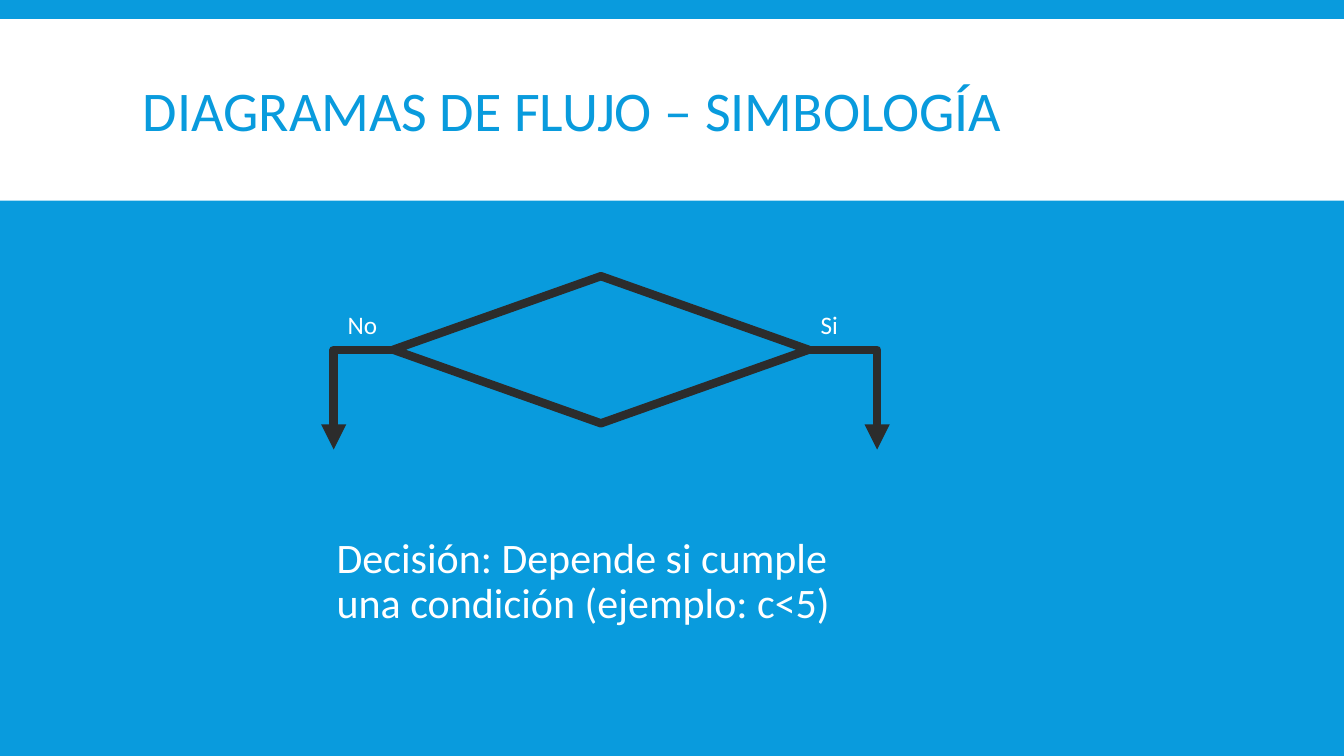
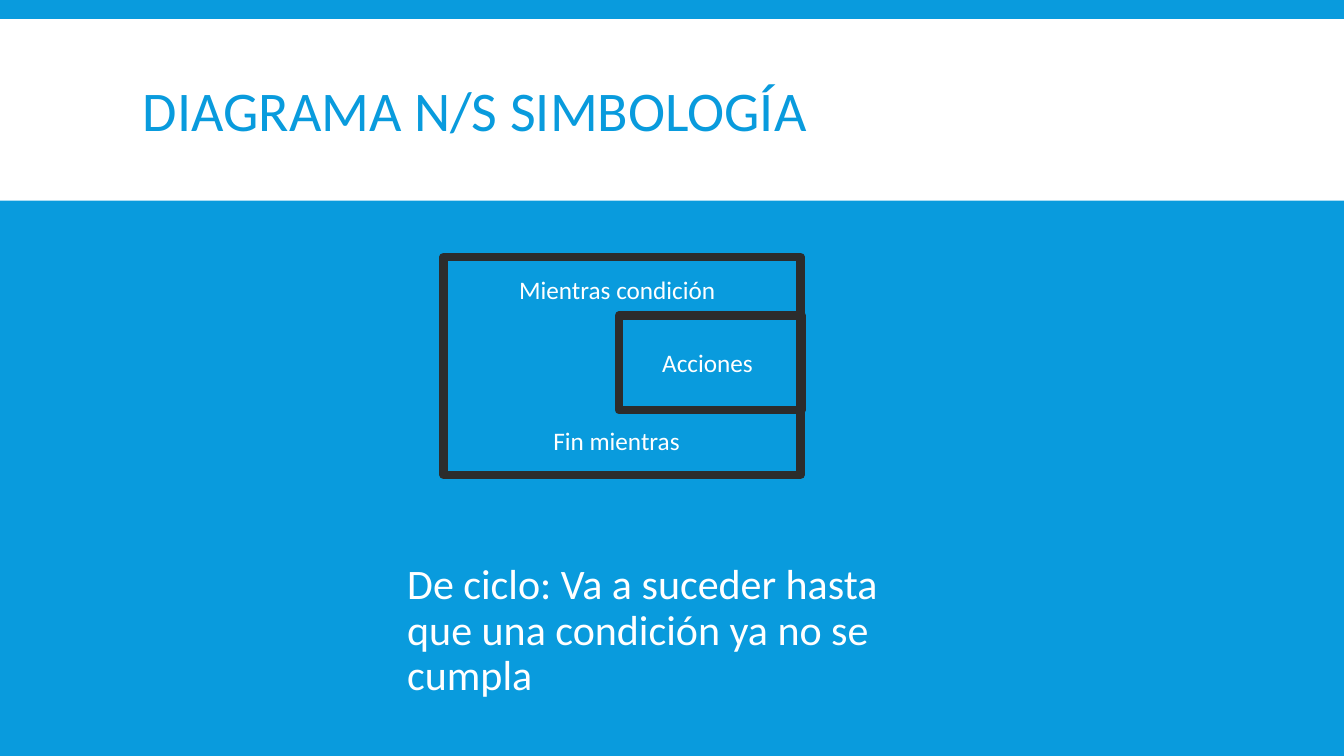
"""Build two slides on flowchart and N/S diagram symbols."""
from lxml.etree import SubElement
from pptx import Presentation
from pptx.dml.color import RGBColor
from pptx.enum.shapes import MSO_CONNECTOR, MSO_SHAPE
from pptx.enum.text import MSO_ANCHOR
from pptx.oxml.ns import qn
from pptx.util import Inches, Pt

BLUE = RGBColor(0x09, 0x9B, 0xDD)
WHITE = RGBColor(0xFF, 0xFF, 0xFF)
DARK = RGBColor(0x2C, 0x2C, 0x2C)
WIDTH, HEIGHT = 13.33, 7.5
BAND = (0, 0.19, WIDTH, 1.8)
TITLE_AREA = (1.32, 0.31, 10.7, 1.65)
LABEL_HEIGHT = 0.4
OUTLINE = Pt(6)

TITLE = {"size": Pt(40), "name": "Calibri"}
BODY = {"size": Pt(30), "name": "Calibri"}
LABEL = {"size": Pt(18), "name": "Calibri"}

SLIDES = [
    {
        "title": "DIAGRAMAS DE FLUJO – SIMBOLOGÍA",
        "body": ("Decisión: Depende si cumple una condición (ejemplo: c<5)",
                 (3.24, 5.28, 5.46, 1.46)),
        "symbols": [(MSO_SHAPE.FLOWCHART_DECISION, (3.9, 2.74, 4.12, 1.46))],
        "branches": [((8.03, 3.47), (8.7, 4.46)), ((3.9, 3.47), (3.31, 4.46))],
        "labels": [("No", 3.35, 3.02, 0.51), ("Si", 8.04, 3.02, 0.4)],
    },
    {
        "title": "DIAGRAMA N/S SIMBOLOGÍA",
        "body": ("De ciclo: Va a suceder hasta que una condición ya no se cumpla",
                 (3.94, 5.54, 5.45, 1.33)),
        "symbols": [(MSO_SHAPE.FLOWCHART_PROCESS, (4.4, 2.55, 3.54, 2.16)),
                    (MSO_SHAPE.RECTANGLE, (6.14, 3.13, 1.81, 0.94))],
        "branches": [],
        "labels": [("Mientras condición", 5.05, 2.67, 2.18),
                   ("Acciones", 6.47, 3.4, 1.13),
                   ("Fin mientras", 5.39, 4.17, 1.5)],
    },
]


def inches(lengths):
    return [Inches(length) for length in lengths]


def add_text(slide, text, area, style, color, spacing=1.0,
             anchor=MSO_ANCHOR.TOP, wrap=True):
    frame = slide.shapes.add_textbox(*inches(area)).text_frame
    frame.word_wrap = wrap
    frame.vertical_anchor = anchor
    paragraph = frame.paragraphs[0]
    paragraph.text = text
    paragraph.line_spacing = spacing
    for attribute, value in style.items():
        setattr(paragraph.font, attribute, value)
    paragraph.font.color.rgb = color


def add_band(slide):
    band = slide.shapes.add_shape(MSO_SHAPE.RECTANGLE, *inches(BAND))
    band.shadow.inherit = False
    band.fill.solid()
    band.fill.fore_color.rgb = WHITE
    band.line.fill.background()


def draw_outline(line):
    line.color.rgb = DARK
    line.width = OUTLINE


def add_symbol(slide, kind, area):
    symbol = slide.shapes.add_shape(kind, *inches(area))
    symbol.shadow.inherit = False
    symbol.fill.background()
    draw_outline(symbol.line)


def add_branch(slide, start, end):
    branch = slide.shapes.add_connector(MSO_CONNECTOR.ELBOW, *inches(start + end))
    draw_outline(branch.line)
    properties = branch._element.spPr
    properties.find(qn("a:prstGeom")).set("prst", "bentConnector2")
    SubElement(properties.find(qn("a:ln")), qn("a:tailEnd"), type="triangle")
    SubElement(properties, qn("a:effectLst"))


def build_slide(deck, content):
    slide = deck.slides.add_slide(deck.slide_layouts[6])
    slide.background.fill.solid()
    slide.background.fill.fore_color.rgb = BLUE
    add_band(slide)
    add_text(slide, content["title"], TITLE_AREA, TITLE, BLUE,
             spacing=0.85, anchor=MSO_ANCHOR.MIDDLE)
    add_text(slide, *content["body"], BODY, WHITE, spacing=0.9)
    for kind, area in content["symbols"]:
        add_symbol(slide, kind, area)
    for start, end in content["branches"]:
        add_branch(slide, start, end)
    for text, left, top, width in content["labels"]:
        add_text(slide, text, (left, top, width, LABEL_HEIGHT), LABEL, WHITE,
                 wrap=False)


def main():
    deck = Presentation()
    deck.slide_width, deck.slide_height = inches((WIDTH, HEIGHT))
    for content in SLIDES:
        build_slide(deck, content)
    deck.save("out.pptx")


if __name__ == "__main__":
    main()
